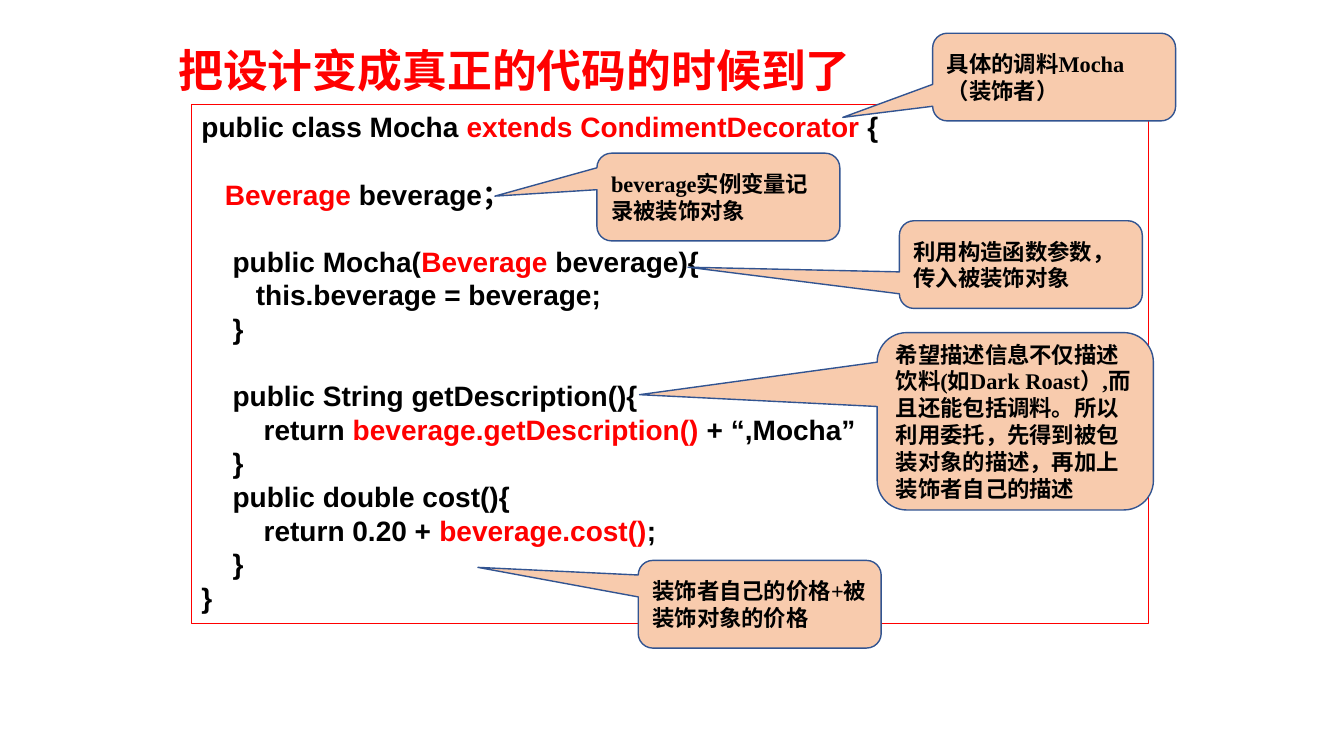
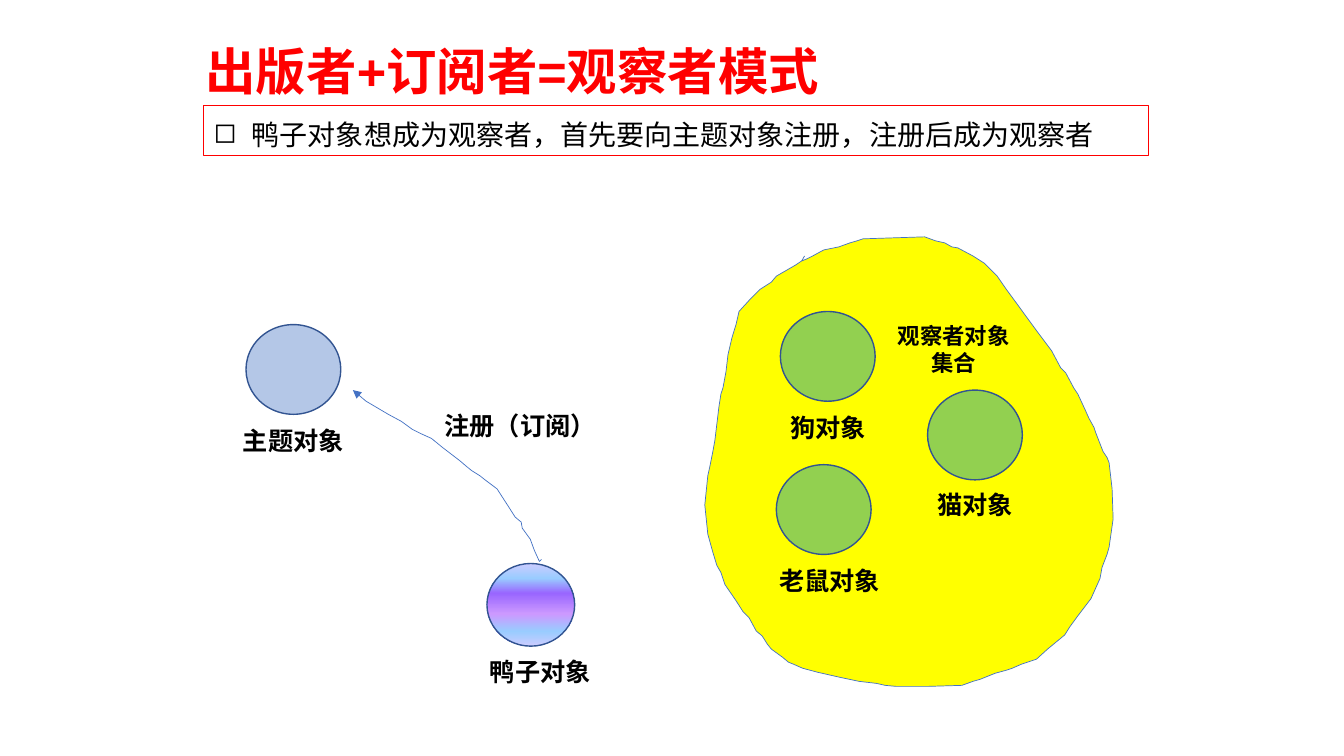
from dataclasses import dataclass
from typing import Optional

from lxml import etree
from pptx import Presentation
from pptx.dml.color import RGBColor
from pptx.enum import shapes, text
from pptx.oxml.ns import qn
from pptx.util import Inches, Pt

BLACK, WHITE, RED = "000000", "FFFFFF", "FF0000"
PEACH, NAVY, BLUE = "F8CBAD", "325491", "4472C4"
YELLOW, GREEN, PALE_BLUE = "FFFF00", "92D050", "B4C7E7"
SERIF, SANS, CJK = "Times New Roman", "Arial", "Noto Sans CJK SC"
DUCK_STOPS = [(0, "CCCCFF"), (18, "99CCFF"), (36, "9966FF"),
              (61, "CC99FF"), (82, "99CCFF"), (100, "CCCCFF")]


@dataclass
class Box:
    left: float
    top: float
    width: float
    height: float

    def lengths(self) -> list:
        return [Inches(v) for v in (self.left, self.top, self.width, self.height)]


@dataclass
class Style:
    size: int
    font: str = SERIF
    color: str = BLACK
    bold: bool = True


@dataclass
class Callout:
    box: Box
    tip: tuple
    words: str


@dataclass
class Node:
    """A circle and the caption below it."""
    circle: Box
    caption: str
    caption_box: Box
    fill: Optional[str]


TITLE_CODE = Style(32, CJK, RED)
TITLE_PATTERN = Style(36, SANS, RED)
CODE = Style(20, SANS)
BODY = Style(20, bold=False)
CALLOUT = Style(16)
CAPTION = Style(18)

# Bars enclose the parts shown in red.
CODE_LINES = [
    "public class Mocha |extends CondimentDecorator| {",
    "    ",
    "   |Beverage| beverage；",
    "    ",
    "    public Mocha(|Beverage| beverage){",
    "       this.beverage = beverage;",
    "    }",
    "    ",
    "    public String getDescription(){",
    "        return |beverage.getDescription() |+ “,Mocha”",
    "    }",
    "    public double cost(){",
    "        return 0.20 + |beverage.cost()|;",
    "    }",
    "}",
]

CALLOUTS = [
    Callout(Box(9.25, 0.33, 2.41, 0.87), (-0.87, 0.46), "具体的调料Mocha（装饰者）"),
    Callout(Box(5.92, 1.52, 2.41, 0.87), (-0.92, -0.01), "beverage实例变量记录被装饰对象"),
    Callout(Box(8.92, 2.19, 2.41, 0.87), (-1.37, 0.03), "利用构造函数参数，传入被装饰对象"),
    Callout(Box(8.7, 3.3, 2.74, 1.76), (-1.36, -0.15),
            "希望描述信息不仅描述饮料(如Dark Roast）,而且还能包括调料。"
            "所以利用委托，先得到被包装对象的描述，再加上装饰者自己的描述"),
    Callout(Box(6.33, 5.56, 2.41, 0.87), (-1.16, -0.42), "装饰者自己的价格+被装饰对象的价格"),
]

NODES = [
    Node(Box(2.44, 3.22, 0.94, 0.89), "主题对象", Box(2.31, 4.17, 1.21, 0.4), PALE_BLUE),
    Node(Box(7.74, 3.09, 0.94, 0.89), "狗对象", Box(7.74, 4.04, 1.03, 0.4), GREEN),
    Node(Box(9.2, 3.87, 0.94, 0.89), "猫对象", Box(9.2, 4.81, 1.03, 0.4), GREEN),
    Node(Box(7.7, 4.61, 0.94, 0.89), "老鼠对象", Box(7.63, 5.56, 1.29, 0.4), GREEN),
    Node(Box(4.83, 5.59, 0.87, 0.82), "鸭子对象", Box(4.76, 6.46, 1.27, 0.4), None),
]

OBSERVER_OUTLINE = [
    (7.98, 2.54), (7.95, 2.59), (7.89, 2.63), (7.7, 2.74), (7.65, 2.8), (7.54, 2.87),
    (7.43, 2.98), (7.33, 3.09), (7.3, 3.22), (7.26, 3.35), (7.22, 3.52), (7.2, 3.69),
    (7.17, 3.85), (7.15, 3.91), (7.13, 4.04), (7.09, 4.37), (7.07, 4.48), (7.04, 4.63),
    (7.02, 4.72), (6.99, 5.01), (7.02, 5.3), (7.07, 5.48), (7.11, 5.61), (7.15, 5.68),
    (7.19, 5.8), (7.3, 5.96), (7.37, 6.07), (7.43, 6.13), (7.5, 6.26), (7.56, 6.31),
    (7.61, 6.39), (7.65, 6.44), (7.76, 6.52), (7.82, 6.57), (7.87, 6.59), (7.96, 6.63),
    (8.11, 6.67), (8.33, 6.72), (8.52, 6.76), (8.69, 6.78), (8.78, 6.8), (8.89, 6.81),
    (9.2, 6.81), (9.54, 6.8), (9.65, 6.76), (9.72, 6.74), (9.87, 6.68), (9.98, 6.65),
    (10.04, 6.63), (10.13, 6.59), (10.28, 6.54), (10.39, 6.44), (10.56, 6.3),
    (10.61, 6.22), (10.69, 6.11), (10.82, 5.94), (10.91, 5.74), (10.93, 5.63),
    (10.98, 5.5), (11, 5.43), (11.04, 5.15), (11.03, 4.85), (11, 4.59), (10.98, 4.54),
    (10.94, 4.48), (10.87, 4.3), (10.85, 4.24), (10.8, 4.15), (10.76, 4.06),
    (10.69, 3.91), (10.65, 3.85), (10.57, 3.7), (10.52, 3.65), (10.43, 3.48),
    (10.28, 3.28), (10.17, 3.13), (10.09, 3.02), (9.98, 2.87), (9.89, 2.74),
    (9.76, 2.61), (9.65, 2.54), (9.5, 2.46), (9.44, 2.45), (9.37, 2.41), (9.28, 2.39),
    (9.17, 2.35), (8.56, 2.37), (8.5, 2.39), (8.43, 2.41), (8.32, 2.45), (8.17, 2.48),
    (8.06, 2.54), (8, 2.57), (7.95, 2.59),
]

REGISTER_PATH = [
    (3.5, 3.87), (3.63, 3.98), (3.85, 4.11), (3.98, 4.18), (4.09, 4.26), (4.17, 4.3),
    (4.28, 4.35), (4.39, 4.44), (4.56, 4.57), (4.63, 4.63), (4.68, 4.67), (4.76, 4.72),
    (4.81, 4.76), (4.93, 4.85), (5.04, 5.02), (5.11, 5.13), (5.17, 5.18), (5.18, 5.24),
    (5.26, 5.35), (5.3, 5.46), (5.35, 5.57), (5.37, 5.55),
]


def rgb(color: str) -> RGBColor:
    return RGBColor.from_string(color)


def paint(sp, fill: Optional[str], line: str, width: float) -> None:
    sp.shadow.inherit = False
    if fill:
        sp.fill.solid()
        sp.fill.fore_color.rgb = rgb(fill)
    else:
        sp.fill.background()
    sp.line.color.rgb = rgb(line)
    sp.line.width = Pt(width)


def paint_gradient(sp, stops: list) -> None:
    """Fill from top to bottom with any number of (percent, colour) stops."""
    sp.fill.gradient()
    sp.fill.gradient_angle = 270
    gs_list = sp.fill._xPr.find(qn("a:gradFill")).find(qn("a:gsLst"))
    for gs in list(gs_list):
        gs_list.remove(gs)
    for percent, color in stops:
        gs = etree.SubElement(gs_list, qn("a:gs"), pos=str(percent * 1000))
        etree.SubElement(gs, qn("a:srgbClr"), val=color)


def add_bullet(p, char: str, indent: float) -> None:
    p_pr = p._p.get_or_add_pPr()
    p_pr.set("marL", str(Inches(indent)))
    p_pr.set("indent", str(-Inches(indent)))
    etree.SubElement(p_pr, qn("a:buChar"), char=char)


def style_paragraph(p, style: Style) -> None:
    p.font.size = Pt(style.size)
    p.font.bold = style.bold
    p.font.color.rgb = rgb(style.color)
    p.font.name = style.font
    def_rpr = p._p.get_or_add_pPr().find(qn("a:defRPr"))
    etree.SubElement(def_rpr, qn("a:ea"), typeface=CJK)


def write(sp, lines: list, style: Style, align=text.PP_ALIGN.LEFT,
          anchor=text.MSO_ANCHOR.TOP, wrap: bool = True, grow: bool = True,
          bullet: str = "") -> None:
    """Set the text; every second part between bars is red."""
    tf = sp.text_frame
    tf.word_wrap = wrap
    tf.vertical_anchor = anchor
    if grow:
        tf.auto_size = text.MSO_AUTO_SIZE.SHAPE_TO_FIT_TEXT
    for i, line in enumerate(lines):
        p = tf.add_paragraph() if i else tf.paragraphs[0]
        p.alignment = align
        if bullet:
            p.line_spacing = 1.2
            add_bullet(p, bullet, 0.38)
        style_paragraph(p, style)
        for j, part in enumerate(line.split("|")):
            r = p.add_run()
            r.text = part
            if j % 2:
                r.font.color.rgb = rgb(RED)


def add_label(slide, box: Box, lines: list, style: Style, **options) -> None:
    write(slide.shapes.add_textbox(*box.lengths()), lines, style, **options)


def add_panel(slide, box: Box, lines: list, style: Style, **options) -> None:
    """Add a white text panel with a thin red border."""
    sp = slide.shapes.add_shape(shapes.MSO_SHAPE.RECTANGLE, *box.lengths())
    paint(sp, WHITE, RED, 0.75)
    write(sp, lines, style, **options)


def add_callout(slide, callout: Callout) -> None:
    sp = slide.shapes.add_shape(shapes.MSO_SHAPE.ROUNDED_RECTANGULAR_CALLOUT,
                                *callout.box.lengths())
    sp.adjustments[0], sp.adjustments[1] = callout.tip
    paint(sp, PEACH, NAVY, 1)
    write(sp, [callout.words], CALLOUT, anchor=text.MSO_ANCHOR.MIDDLE, grow=False)


def add_node(slide, node: Node) -> None:
    sp = slide.shapes.add_shape(shapes.MSO_SHAPE.OVAL, *node.circle.lengths())
    paint(sp, node.fill, NAVY, 1)
    if node.fill is None:
        paint_gradient(sp, DUCK_STOPS)
    add_label(slide, node.caption_box, [node.caption], CAPTION, wrap=False)


def add_outline(slide, points: list, fill: Optional[str]):
    start, *rest = [(Inches(x), Inches(y)) for x, y in points]
    builder = slide.shapes.build_freeform(*start)
    builder.add_line_segments(rest, close=False)
    sp = builder.convert_to_shape()
    paint(sp, fill, BLUE, 0.5)
    return sp


def build_code_slide(slide) -> None:
    add_label(slide, Box(1.67, 0.37, 8.39, 0.64), ["把设计变成真正的代码的时候到了"], TITLE_CODE)
    add_panel(slide, Box(1.9, 1.04, 9.49, 5.15), CODE_LINES, CODE)
    for callout in CALLOUTS:
        add_callout(slide, callout)


def build_observer_slide(slide) -> None:
    add_label(slide, Box(1.94, 0.35, 9.25, 0.7), ["出版者+订阅者=观察者模式"], TITLE_PATTERN)
    add_panel(slide, Box(2.02, 1.05, 9.37, 0.49),
              ["鸭子对象想成为观察者，首先要向主题对象注册，注册后成为观察者"], BODY, bullet="◻")
    add_outline(slide, OBSERVER_OUTLINE, YELLOW)
    for node in NODES:
        add_node(slide, node)
    add_label(slide, Box(8.8, 3.15, 1.32, 0.64), ["观察者对象", "集合"], CALLOUT,
              align=text.PP_ALIGN.CENTER, wrap=False)
    arrow = add_outline(slide, REGISTER_PATH, None)
    etree.SubElement(arrow.line._get_or_add_ln(), qn("a:headEnd"), type="triangle")
    add_label(slide, Box(4.31, 4.02, 1.72, 0.4), ["注册（订阅）"], CAPTION, wrap=False)


def main() -> None:
    prs = Presentation()
    prs.slide_width, prs.slide_height = Inches(13.33), Inches(7.5)
    for build in (build_code_slide, build_observer_slide):
        build(prs.slides.add_slide(prs.slide_layouts[6]))
    prs.save("out.pptx")


if __name__ == "__main__":
    main()
